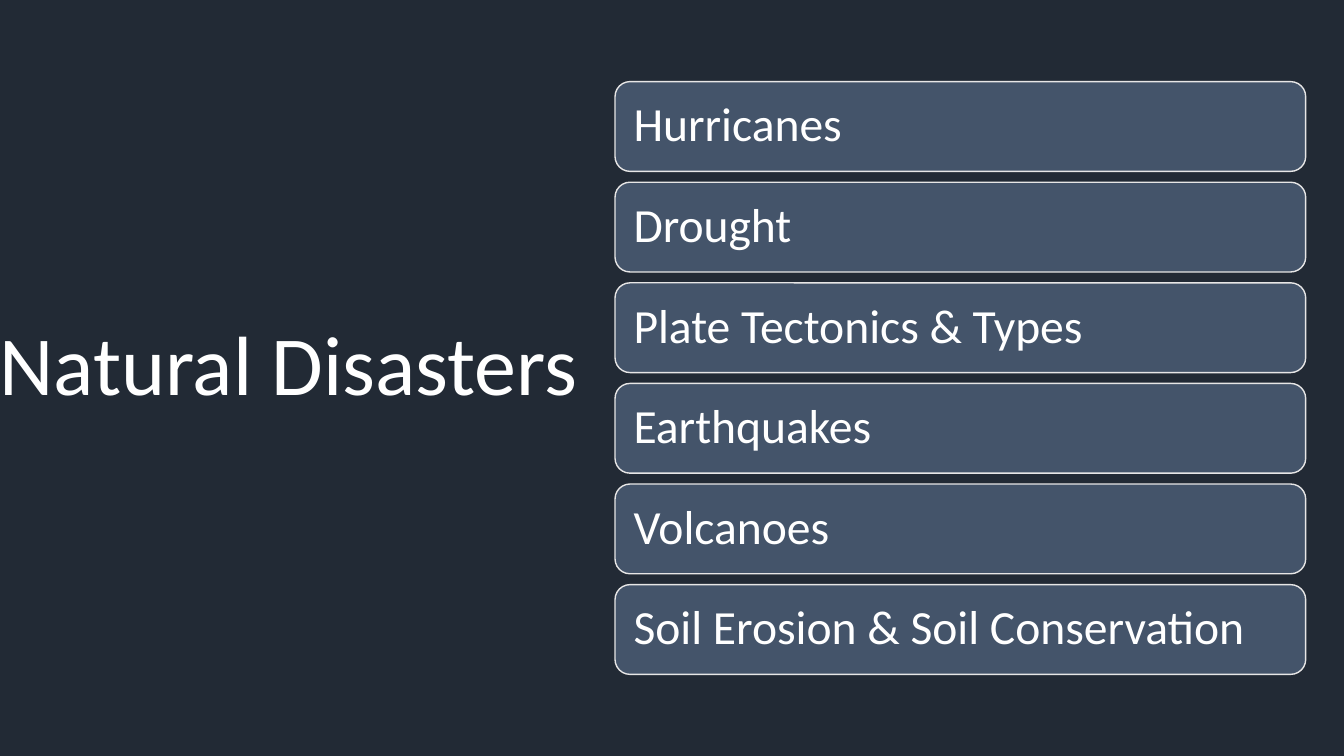
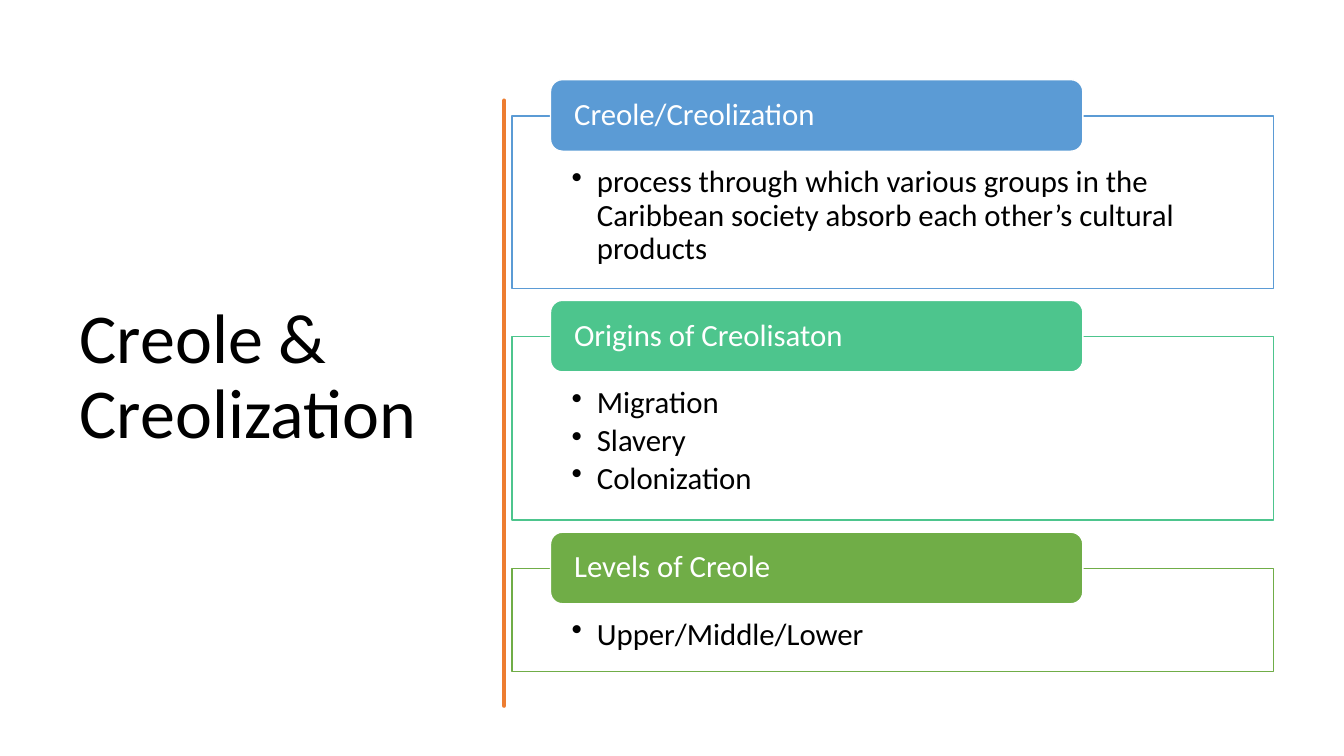
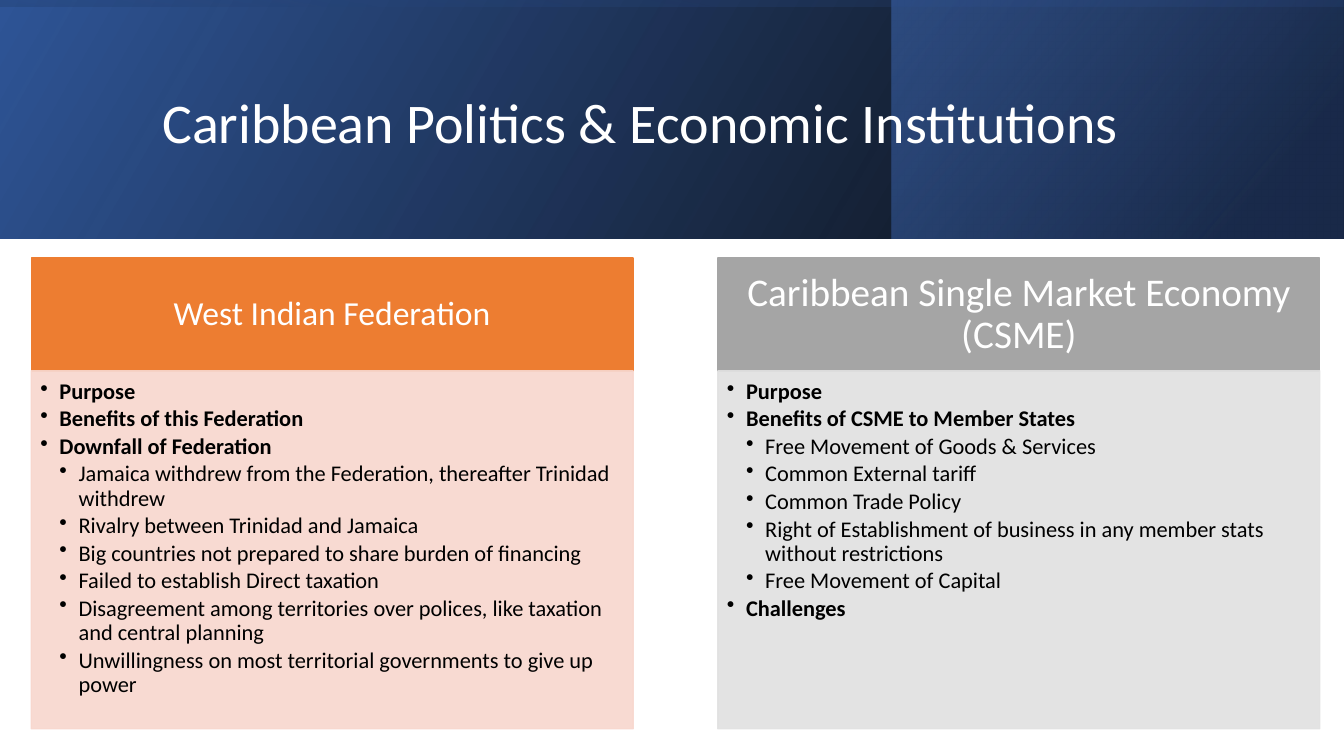
from dataclasses import dataclass

from lxml import etree
from pptx import Presentation
from pptx.dml.color import RGBColor
from pptx.enum import shapes, text
from pptx.oxml.ns import qn
from pptx.util import Inches, Pt

FONT = "Calibri"
WHITE, BLACK, ORANGE = "FFFFFF", "000000", "ED7D31"
RECT = shapes.MSO_SHAPE.RECTANGLE
ROUND = shapes.MSO_SHAPE.ROUNDED_RECTANGLE
LEFT, MID = text.PP_ALIGN.LEFT, text.PP_ALIGN.CENTER


@dataclass
class Item:
    text: str
    level: int = 0  # 0 is plain, 1 and 2 are bulleted
    bold: bool = False


@dataclass
class Style:
    size: float
    color: str = WHITE
    align: text.PP_ALIGN = LEFT
    top: bool = False
    pad: tuple = (0.1, 0.05, 0.1, 0.05)
    after: float = 0.35  # share of the text size
    step: float = 0.25  # bullet indent


@dataclass
class Card:
    head: str
    color: str
    high: float
    items: list


@dataclass
class Panel:
    head: str
    color: str
    tint: str
    left: float
    look: Style
    items: list


@dataclass
class Band:
    at: tuple
    stops: list  # position, colour, opacity
    angle: int
    turn: int = 0


# ---- shared tools ----
def rgb(code: str) -> RGBColor:
    return RGBColor.from_string(code)


def veil(shape, *alphas: int) -> None:
    """Set the opacity of the shape's colours, in order."""
    for tone, alpha in zip(shape._element.spPr.iter(qn("a:srgbClr")), alphas):
        etree.SubElement(tone, qn("a:alpha")).set("val", str(alpha * 1000))


def write(frame, items: list[Item], style: Style) -> None:
    frame.word_wrap = True
    frame.auto_size = text.MSO_AUTO_SIZE.NONE
    frame.vertical_anchor = text.MSO_ANCHOR.TOP if style.top else text.MSO_ANCHOR.MIDDLE
    (frame.margin_left, frame.margin_top,
     frame.margin_right, frame.margin_bottom) = map(Inches, style.pad)
    frame.text = "\n".join(item.text for item in items)
    for para, item in zip(frame.paragraphs, items):
        para.alignment = style.align
        para.line_spacing = 0.9
        para.space_after = Pt(round(style.size * style.after, 1))
        if item.level:
            para.level = item.level
            props = para._p.get_or_add_pPr()
            props.set("marL", str(Inches(style.step * item.level)))
            props.set("indent", str(-Inches(style.step)))
            etree.SubElement(props, qn("a:buChar")).set("char", "•")
        for run in para.runs:
            run.font.name = FONT
            run.font.size = Pt(style.size)
            run.font.bold = item.bold
            run.font.color.rgb = rgb(style.color)


def box(slide, kind, at: tuple, fill: str, line: str, items: list[Item], style: Style):
    shape = slide.shapes.add_shape(kind, *map(Inches, at))
    shape.shadow.inherit = False
    shape.fill.solid()
    shape.fill.fore_color.rgb = rgb(fill)
    shape.line.color.rgb = rgb(line)
    shape.line.width = Pt(1)
    write(shape.text_frame, items, style)
    return shape


def start(deck, back: str):
    slide = deck.slides.add_slide(deck.slide_layouts[5])
    slide.background.fill.solid()
    slide.background.fill.fore_color.rgb = rgb(back)
    return slide


def title(slide, words: str, at: tuple, style: Style) -> None:
    """Place the title in front of what is drawn so far."""
    head = slide.shapes.title
    head.left, head.top, head.width, head.height = map(Inches, at)
    write(head.text_frame, [Item(words)], style)
    slide.shapes._spTree.append(head._element)


# ---- slide 1 ----
TOPICS = ["Hurricanes", "Drought", "Plate Tectonics & Types", "Earthquakes",
          "Volcanoes", "Soil Erosion & Soil Conservation"]


def hazards(deck) -> None:
    slide = start(deck, "222A35")
    title(slide, "Natural Disasters", (-0.13, 0.61, 5.98, 6.09), Style(60, align=MID, after=0))
    look = Style(34, pad=(0.14,) * 4, after=0)
    for row, topic in enumerate(TOPICS):
        box(slide, ROUND, (6.1, 0.81 + row * 0.998, 6.85, 0.89),
            "44546A", "E7E6E6", [Item(topic)], look)


# ---- slide 2 ----
CARDS = [
    Card("Creole/Creolization", "5B9BD5", 1.71, [
        "process through which various groups in the Caribbean society "
        "absorb each other’s cultural products"]),
    Card("Origins of Creolisaton", "4DC58D", 1.82, ["Migration", "Slavery", "Colonization"]),
    Card("Levels of Creole", "70AD47", 1.02, ["Upper/Middle/Lower"]),
]
# Wavy edges of the brush stroke: x, y
RIGHT = [(4.75, 0.84), (4.76, 1.15), (4.75, 1.46), (4.74, 1.75), (4.75, 2.26),
         (4.75, 2.94), (4.76, 3.3), (4.75, 3.56), (4.76, 4.1), (4.75, 4.36),
         (4.73, 4.7), (4.75, 5.1), (4.76, 5.5), (4.75, 5.84), (4.75, 6.76)]
EDGE = [(4.73, 6.76), (4.72, 6.4), (4.73, 6.13), (4.73, 5.57), (4.72, 5.1),
        (4.73, 4.77), (4.72, 4.5), (4.73, 4.15), (4.72, 3.75), (4.73, 3.35),
        (4.72, 2.9), (4.73, 2.5), (4.74, 2.1), (4.72, 1.7), (4.74, 1.2), (4.73, 0.84)]


def brush(slide) -> None:
    first, *rest = RIGHT + EDGE
    form = slide.shapes.build_freeform(*first, scale=float(Inches(1)))
    form.add_line_segments(rest, close=True)
    stroke = form.convert_to_shape()
    stroke.shadow.inherit = False
    stroke.fill.solid()
    stroke.fill.fore_color.rgb = rgb(ORANGE)
    stroke.line.color.rgb = rgb(ORANGE)
    stroke.line.width = Pt(3.25)
    etree.SubElement(stroke.line._get_or_add_ln(), qn("a:round"))


def creole(deck) -> None:
    slide = start(deck, WHITE)
    title(slide, "Creole & Creolization", (0.69, 0.7, 3.74, 6.11), Style(50, BLACK, after=0))
    brush(slide)
    body = Style(22, BLACK, top=True, pad=(0.59, 0.5, 0.59, 0.17), after=0.15)
    tab = Style(22, pad=(0.2, 0, 0.2, 0), after=0)
    top = 1.15
    for card in CARDS:
        box(slide, RECT, (5.08, top, 7.55, card.high), WHITE, card.color,
            [Item(line, 1) for line in card.items], body)
        box(slide, ROUND, (5.46, top - 0.36, 5.28, 0.71), card.color, WHITE,
            [Item(card.head)], tab)
        top += card.high + 0.48


# ---- slide 3 ----
BANDS = [
    Band((0, 0, 13.33, 2.37), [(0, BLACK, 96), (100, "2F5597", 100)], 330),
    Band((8.84, 0, 4.48, 2.37), [(19, "203864", 68), (100, "4472C4", 48)], 320),
    Band((5.48, -5.48, 2.37, 13.33), [(23, "2F5597", 16), (99, BLACK, 45)], 350, 270),
]
PANELS = [
    Panel("West Indian Federation", ORANGE, "F8D7CE", 0.31,
          Style(24, align=MID, pad=(0.19, 0.11, 0.19, 0.11), after=0), [
              Item("Purpose", 1, True),
              Item("Benefits of this Federation", 1, True),
              Item("Downfall of Federation", 1, True),
              Item("Jamaica withdrew from the Federation, thereafter Trinidad withdrew", 2),
              Item("Rivalry between Trinidad and Jamaica", 2),
              Item("Big countries not prepared to share burden of financing", 2),
              Item("Failed to establish Direct taxation", 2),
              Item("Disagreement among territories over polices, "
                   "like taxation and central planning", 2),
              Item("Unwillingness on most territorial governments to give up power", 2)]),
    Panel("Caribbean Single Market Economy (CSME)", "A5A5A5", "E1E1E1", 7.12,
          Style(28, align=MID, pad=(0.22, 0.12, 0.22, 0.12), after=0), [
              Item("Purpose", 1, True),
              Item("Benefits of CSME to Member States", 1, True),
              Item("Free Movement of Goods & Services", 2),
              Item("Common External tariff", 2),
              Item("Common Trade Policy", 2),
              Item("Right of Establishment of business in any member stats "
                   "without restrictions", 2),
              Item("Free Movement of Capital", 2),
              Item("Challenges", 1, True)]),
]


def shade(slide, band: Band) -> None:
    shape = slide.shapes.add_shape(RECT, *map(Inches, band.at))
    shape.shadow.inherit = False
    shape.line.fill.background()
    shape.rotation = band.turn
    shape._element.spPr.find(qn("a:xfrm")).set("flipH", "1")
    shape.fill.gradient()
    shape.fill.gradient_angle = 360 - band.angle
    for stop, (place, color, _) in zip(shape.fill.gradient_stops, band.stops):
        stop.position = place / 100
        stop.color.rgb = rgb(color)
    veil(shape, *(alpha for _, _, alpha in band.stops))


def unions(deck) -> None:
    slide = start(deck, WHITE)
    for band in BANDS:
        shade(slide, band)
    title(slide, "Caribbean Politics & Economic Institutions",
          (1.51, 0.38, 10.63, 1.72), Style(40, after=0))
    body = Style(16, BLACK, top=True, pad=(0.09, 0.09, 0.12, 0.14), after=0.15, step=0.19)
    for panel in PANELS:
        box(slide, RECT, (panel.left, 2.56, 5.97, 1.12), panel.color, panel.color,
            [Item(panel.head)], panel.look)
        pane = box(slide, RECT, (panel.left, 3.68, 5.97, 3.55), panel.tint, panel.tint,
                   panel.items, body)
        veil(pane, 90, 90)


def main() -> None:
    deck = Presentation()
    deck.slide_width, deck.slide_height = Inches(13.33), Inches(7.5)
    for build in (hazards, creole, unions):
        build(deck)
    deck.save("out.pptx")


if __name__ == "__main__":
    main()
